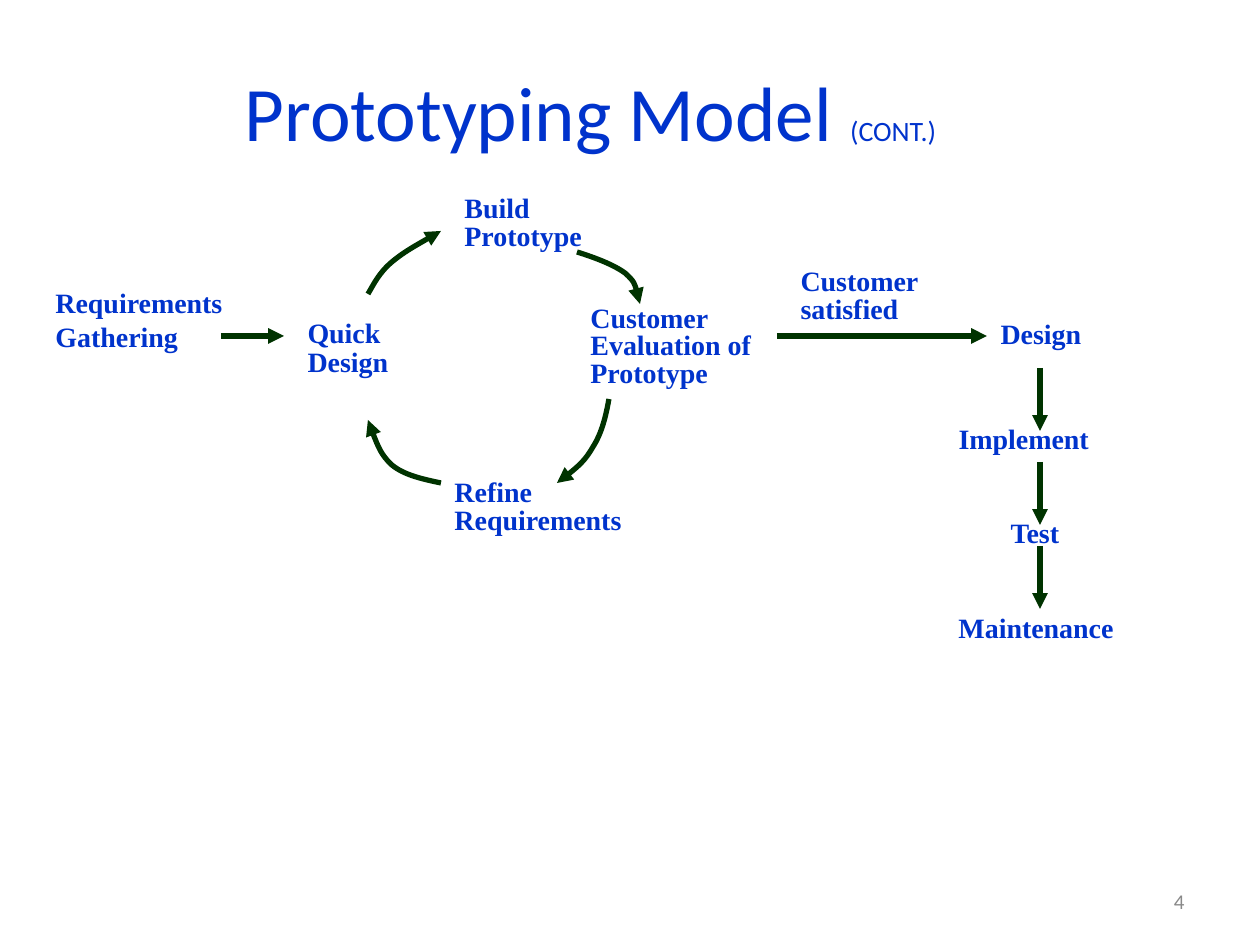
from pptx import Presentation
from pptx.dml.color import RGBColor
from pptx.enum.shapes import MSO_CONNECTOR as Connector
from pptx.enum.text import MSO_ANCHOR as Anchor, MSO_AUTO_SIZE as AutoSize, PP_ALIGN as Align
from pptx.oxml.ns import qn
from pptx.util import Inches, Pt
from lxml.etree import SubElement

PX = Inches(1) / 126
COLORS = {"text": "0033CC", "arrow": "003300", "number": "898989"}

TITLE = [("Prototyping Model ", 44), ("(CONT.)", 16)]
TITLE_BOX = (55, 32, 1071, 158)
PAGE_NUMBER = "4"
PAGE_NUMBER_BOX = (903, 876, 294, 50)

LABELS = [
    (["Requirements", "Gathering"], (53, 284, 189, 117), 0.85),
    (["Quick Design"], (305, 315, 158, 73), 0.85),
    (["Refine Requirements"], (452, 473, 199, 79), 0.85),
    (["Build Prototype"], (462, 189, 136, 79), 0.85),
    (["Customer", "Evaluation of", "Prototype"], (588, 305, 189, 116), 0.63),
    (["Design"], (998, 315, 158, 47), 0.85),
    (["Implement"], (956, 420, 158, 47), 0.85),
    (["Test"], (1008, 514, 158, 47), 0.85),
    (["Maintenance"], (956, 609, 189, 47), 0.85),
    (["Customer satisfied"], (798, 262, 209, 79), 0.85),
]

STRAIGHT_ARROWS = [
    (221, 336, 284, 336),
    (777, 336, 987, 336),
    (1040, 368, 1040, 431),
    (1040, 462, 1040, 525),
    (1040, 546, 1040, 609),
]

CYCLE_ARROWS = [
    [(368, 294), (374, 284), (379, 273), (392, 262), (404, 252), (422, 242), (441, 231)],
    [(577, 252), (596, 258), (614, 265), (625, 273), (635, 282), (638, 292), (640, 304)],
    [(609, 399), (606, 416), (602, 433), (593, 447), (585, 461), (571, 473), (557, 483)],
    [(441, 483), (422, 479), (404, 475), (392, 465), (381, 455), (374, 437), (368, 420)],
]


def emu(values):
    return [round(value * PX) for value in values]


def rgb(name):
    return RGBColor.from_string(COLORS[name])


def set_all(target, values):
    for name, value in values.items():
        setattr(target, name, value)


def add_run(paragraph, text, color, **font):
    run = paragraph.add_run()
    run.text = text
    set_all(run.font, font)
    run.font.color.rgb = rgb(color)


def format_frame(frame, side_inset, anchor):
    set_all(frame, {
        "word_wrap": True, "auto_size": AutoSize.NONE, "vertical_anchor": anchor,
        "margin_left": Inches(side_inset), "margin_right": Inches(side_inset),
        "margin_top": Inches(0.05), "margin_bottom": Inches(0.05),
    })


def add_text_box(slide, box, side_inset, anchor):
    frame = slide.shapes.add_textbox(*emu(box)).text_frame
    format_frame(frame, side_inset, anchor)
    return frame


def add_label(slide, lines, box, spacing):
    frame = add_text_box(slide, box, 0.02, Anchor.TOP)
    for index, line in enumerate(lines):
        paragraph = frame.add_paragraph() if index else frame.paragraphs[0]
        paragraph.line_spacing = spacing
        if index:
            paragraph.space_before = Pt(3.6)
        add_run(paragraph, line, "text", name="Times New Roman", size=Pt(16), bold=True)


def format_arrow(shape):
    shape.line.color.rgb = rgb("arrow")
    shape.line.width = Pt(3)
    SubElement(shape.line._get_or_add_ln(), qn("a:tailEnd"), type="triangle")
    SubElement(shape._element.spPr, qn("a:effectLst"))


def add_curved_arrow(slide, points):
    builder = slide.shapes.build_freeform(*points[0], scale=PX)
    builder.add_line_segments(points[1:], close=False)
    shape = builder.convert_to_shape()
    outline = next(shape._element.iter(qn("a:path")))
    segments = outline.findall(qn("a:lnTo"))
    for start in range(0, len(segments), 3):
        curve = SubElement(outline, qn("a:cubicBezTo"))
        for segment in segments[start:start + 3]:
            curve.append(segment[0])
            outline.remove(segment)
    shape.fill.background()
    format_arrow(shape)


def main():
    presentation = Presentation()
    presentation.slide_width, presentation.slide_height = Inches(10), Inches(7.5)
    slide = presentation.slides.add_slide(presentation.slide_layouts[5])

    title = slide.shapes.title
    set_all(title, dict(zip(("left", "top", "width", "height"), emu(TITLE_BOX))))
    format_frame(title.text_frame, 0.02, Anchor.MIDDLE)
    paragraph = title.text_frame.paragraphs[0]
    paragraph.alignment = Align.CENTER
    for text, size in TITLE:
        add_run(paragraph, text, "text", name="Calibri", size=Pt(size))

    paragraph = add_text_box(slide, PAGE_NUMBER_BOX, 0.1, Anchor.MIDDLE).paragraphs[0]
    paragraph.alignment = Align.RIGHT
    add_run(paragraph, PAGE_NUMBER, "number", name="Calibri", size=Pt(12))

    for label in LABELS:
        add_label(slide, *label)
    for ends in STRAIGHT_ARROWS:
        format_arrow(slide.shapes.add_connector(Connector.STRAIGHT, *emu(ends)))
    for points in CYCLE_ARROWS:
        add_curved_arrow(slide, points)

    presentation.save("out.pptx")


if __name__ == "__main__":
    main()
